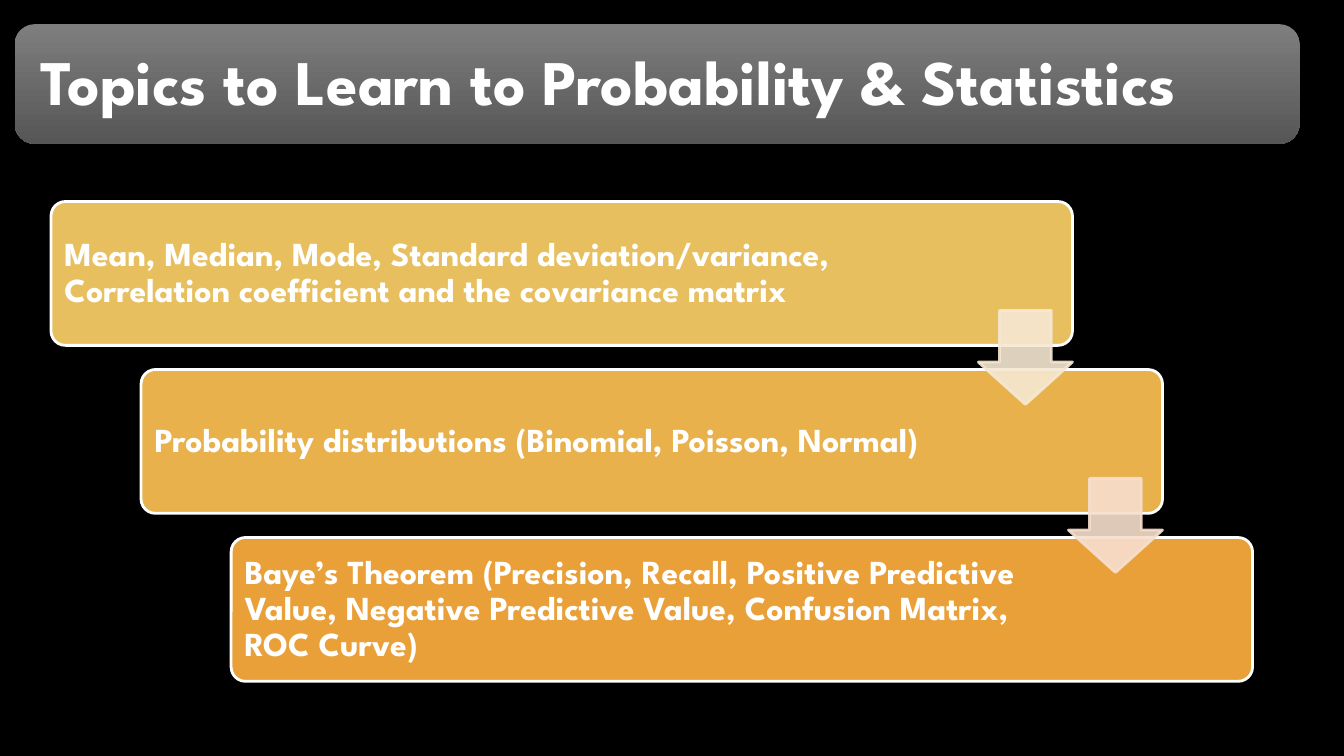
from lxml.etree import SubElement
from pptx import Presentation
from pptx.dml.color import RGBColor
from pptx.enum.shapes import MSO_SHAPE as Shape
from pptx.enum.text import MSO_ANCHOR as Anchor
from pptx.oxml.ns import qn
from pptx.util import Inches, Pt

FONT = "League Spartan"
COLORS = {
    "background": "000000",
    "text": "FFFFFF",
    "title_top": "7E7E7E",
    "title_bottom": "565656",
}
TITLE = "Topics to Learn to Probability & Statistics"
# Topic, card fill, text width
TOPICS = [
    ("Mean, Median, Mode, Standard deviation/variance, "
     "Correlation coefficient and the covariance matrix", "E7BF5F", 6.44),
    ("Probability distributions (Binomial, Poisson, Normal)", "E8B14C", 6.17),
    ("Baye’s Theorem (Precision, Recall, Positive Predictive Value, "
     "Negative Predictive Value, Confusion Matrix, ROC Curve)", "E9A039", 6.17),
]
ARROW_FILLS = ["F6E8D2", "F7DFCE"]

# Staircase grid: first card, then one step right and down per card
LEFT, TOP = 0.38, 1.5
STEP_X, STEP_Y = 0.67, 1.25
CARD_W, CARD_H = 7.6, 1.07
ARROW, ARROW_DROP = 0.7, 0.81
PAD = 0.03


def rgb(value):
    return RGBColor.from_string(value)


def add_shape(slide, kind, box, adjustments=()):
    sp = slide.shapes.add_shape(kind, *map(Inches, box))
    sp.shadow.inherit = False
    for i, value in enumerate(adjustments):
        sp.adjustments[i] = value
    return sp


def paint(sp, fill, line):
    sp.fill.solid()
    sp.fill.fore_color.rgb = rgb(fill)
    sp.line.color.rgb = rgb(line)
    sp.line.width = Pt(1.5)


def add_text(slide, text, box, size, inset):
    tf = slide.shapes.add_textbox(*map(Inches, box)).text_frame
    tf.word_wrap = True
    tf.vertical_anchor = Anchor.MIDDLE
    tf.margin_left = tf.margin_right = Inches(inset)
    tf.margin_top = tf.margin_bottom = Inches(inset)
    p = tf.paragraphs[0]
    p.text = text
    p.line_spacing = 0.9
    p.font.name = FONT
    p.font.size = Pt(size)
    p.font.bold = True
    p.font.color.rgb = rgb(COLORS["text"])


def add_title(slide):
    sp = add_shape(slide, Shape.ROUNDED_RECTANGLE, (0.11, 0.18, 9.56, 0.89))
    sp.fill.gradient()
    sp.fill.gradient_angle = 270
    stops = sp.fill.gradient_stops
    for stop, position, name in zip(stops, (0, 1), ("title_top", "title_bottom")):
        stop.position = position
        stop.color.rgb = rgb(COLORS[name])
    sp.line.fill.background()
    add_text(slide, TITLE, (0.16, 0.23, 9.47, 0.8), 34, 0.14)


def card_corner(step):
    return LEFT + step * STEP_X, TOP + step * STEP_Y


def add_card(slide, step, text, fill, text_w):
    x, y = card_corner(step)
    sp = add_shape(slide, Shape.ROUNDED_RECTANGLE, (x, y, CARD_W, CARD_H), [0.1])
    paint(sp, fill, COLORS["text"])
    add_text(slide, text, (x + PAD, y + PAD, text_w, CARD_H - 2 * PAD), 18, 0.07)


def add_arrow(slide, step, color):
    """Add a translucent arrow leading from one card to the next."""
    x, y = card_corner(step)
    box = (x + CARD_W - ARROW, y + ARROW_DROP, ARROW, ARROW)
    sp = add_shape(slide, Shape.DOWN_ARROW, box, [0.55, 0.45])
    paint(sp, color, color)
    for clr in sp._element.spPr.iter(qn("a:srgbClr")):
        SubElement(clr, qn("a:alpha"), val="90000")


def main():
    prs = Presentation()
    prs.slide_width = Inches(10)
    prs.slide_height = prs.slide_width * 9 // 16
    slide = prs.slides.add_slide(prs.slide_layouts[6])
    slide.background.fill.solid()
    slide.background.fill.fore_color.rgb = rgb(COLORS["background"])

    add_title(slide)
    for step, topic in enumerate(TOPICS):
        add_card(slide, step, *topic)
    for step, color in enumerate(ARROW_FILLS):
        add_arrow(slide, step, color)
    prs.save("out.pptx")


if __name__ == "__main__":
    main()
